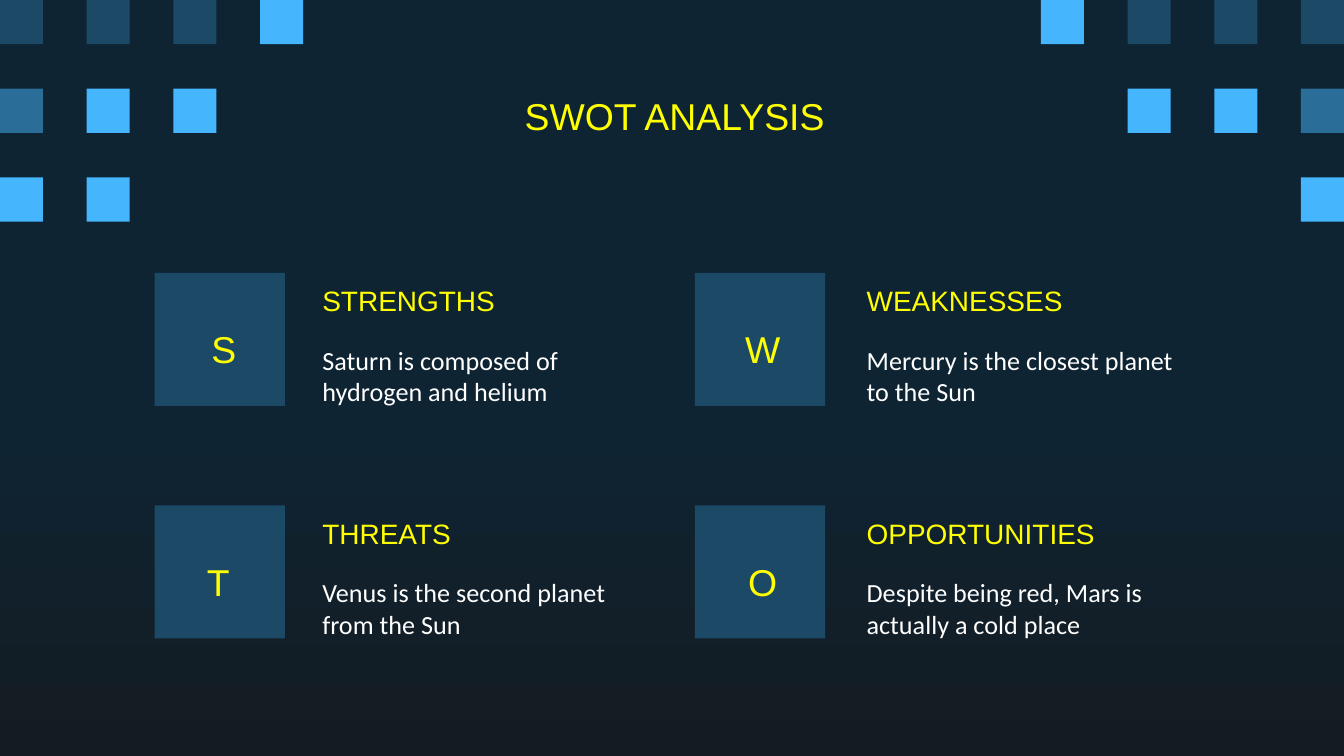
"""Build a SWOT analysis slide with four panels and corner tiles."""
import copy
from dataclasses import dataclass

import pptx
import pptx.dml.color
import pptx.enum.shapes
import pptx.enum.text
import pptx.slide
import pptx.util

HUES = {
    "night": "0E2433",
    "black": "141C21",
    "dark": "1C4966",
    "mid": "296D98",
    "bright": "45B6FE",
    "yellow": "FFFF00",
    "white": "FFFFFF",
}
WIDTH = 10
HEIGHT = WIDTH * 9 / 16
TILE_W, TILE_H = 0.32, 0.33
STEP_X, STEP_Y = 1.29 / 2, 0.66
LEFT_ROWS = (
    ("dark", "dark", "dark", "bright"),
    ("mid", "bright", "bright"),
    ("bright", "bright"),
)
RIGHT_ROWS = (*LEFT_ROWS[:2], ("bright",))


@dataclass(frozen=True)
class Panel:
    mark: str
    head: str
    body: str
    box_x: float
    mark_x: float
    text_x: float
    top: float


PANELS = (
    Panel("S", "STRENGTHS", "Saturn is composed of hydrogen and helium", 1.15, 1.39, 2.3, 2.03),
    Panel("W", "WEAKNESSES", "Mercury is the closest planet to the Sun", 5.17, 5.4, 6.35, 2.03),
    Panel("T", "THREATS", "Venus is the second planet from the Sun", 1.15, 1.35, 2.3, 3.76),
    Panel("O", "OPPORTUNITIES", "Despite being red, Mars is actually a cold place", 5.17, 5.4, 6.35, 3.76),
)


def paint(name: str) -> pptx.dml.color.RGBColor:
    return pptx.dml.color.RGBColor.from_string(HUES[name])


def add_block(slide: pptx.slide.Slide, x: float, y: float, w: float, h: float, hue: str) -> None:
    block = slide.shapes.add_shape(
        pptx.enum.shapes.MSO_SHAPE.RECTANGLE, *map(pptx.util.Inches, (x, y, w, h))
    )
    block.shadow.inherit = False
    block.fill.solid()
    block.fill.fore_color.rgb = paint(hue)
    block.line.fill.background()


def add_text(
    slide: pptx.slide.Slide,
    text: str,
    *,
    x: float,
    y: float,
    w: float,
    h: float,
    size: int = 20,
    font: str = "Arial",
    hue: str = "yellow",
    label: bool = False,
) -> None:
    box = slide.shapes.add_textbox(*map(pptx.util.Inches, (x, y, w, h)))
    frame = box.text_frame
    frame.word_wrap = True
    frame.margin_top = frame.margin_bottom = pptx.util.Inches(0.1)
    frame.margin_left = pptx.util.Inches(0.05 if label else 0.1)
    frame.margin_right = pptx.util.Inches(0 if label else 0.1)
    anchor = pptx.enum.text.MSO_ANCHOR
    frame.vertical_anchor = anchor.TOP if label else anchor.MIDDLE
    line = frame.paragraphs[0]
    align = pptx.enum.text.PP_ALIGN
    line.alignment = align.CENTER if label else align.LEFT
    run = line.add_run()
    run.text = text
    run.font.size = pptx.util.Pt(size)
    run.font.name = font
    run.font.color.rgb = paint(hue)


def set_ground(slide: pptx.slide.Slide) -> None:
    fill = slide.background.fill
    fill.gradient()
    fill.gradient_angle = 270
    first, last = fill.gradient_stops
    first.color.rgb, last.color.rgb = paint("night"), paint("black")
    first.position, last.position = 0, 1
    start = slide.background._cSld.xpath(".//a:gs")[0]
    middle = copy.deepcopy(start)
    middle.set("pos", "56000")
    start.addnext(middle)


def add_tiles(slide: pptx.slide.Slide, rows: tuple, start: float, step: float) -> None:
    for row, hues in enumerate(rows):
        for col, hue in enumerate(hues):
            add_block(slide, start + col * step, row * STEP_Y, TILE_W, TILE_H, hue)


def add_panel(slide: pptx.slide.Slide, panel: Panel) -> None:
    top, left = panel.top, panel.text_x
    add_block(slide, panel.box_x, top, 0.97, 0.99, "dark")
    add_text(slide, panel.mark, x=panel.mark_x, y=top + 0.3, w=0.5, h=0.4, label=True)
    add_text(slide, panel.head, x=left, y=top - 0.04, w=2.95, h=0.49, size=15)
    add_text(
        slide, panel.body, x=left, y=top + 0.45, w=2.65, h=0.63,
        size=14, font="Calibri", hue="white",
    )


def main() -> None:
    deck = pptx.Presentation()
    deck.slide_width = pptx.util.Inches(WIDTH)
    deck.slide_height = pptx.util.Inches(HEIGHT)
    slide = deck.slides.add_slide(deck.slide_layouts[6])
    set_ground(slide)
    add_tiles(slide, LEFT_ROWS, 0, STEP_X)
    add_tiles(slide, RIGHT_ROWS, WIDTH - TILE_W, -STEP_X)
    add_text(slide, "SWOT ANALYSIS", x=0.78, y=0.59, w=8.43, h=0.36, label=True)
    for panel in PANELS:
        add_panel(slide, panel)
    deck.save("out.pptx")


if __name__ == "__main__":
    main()
